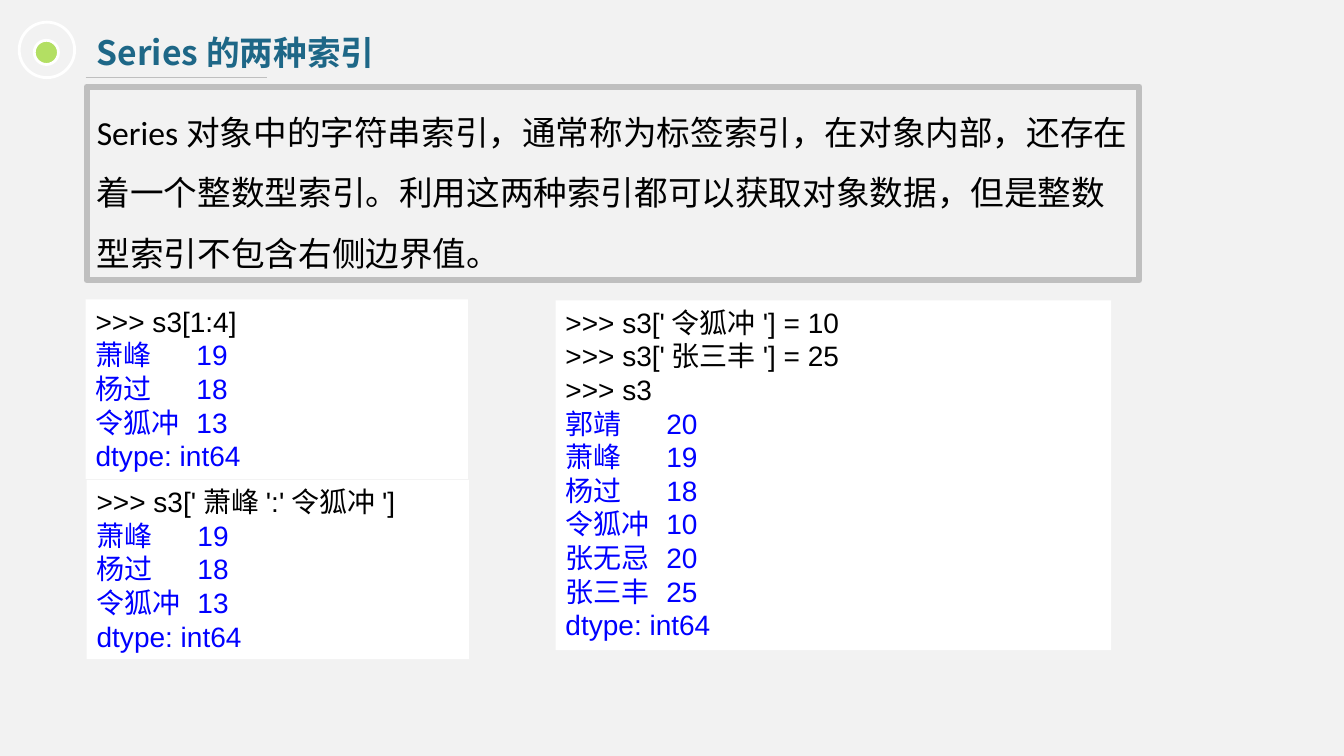
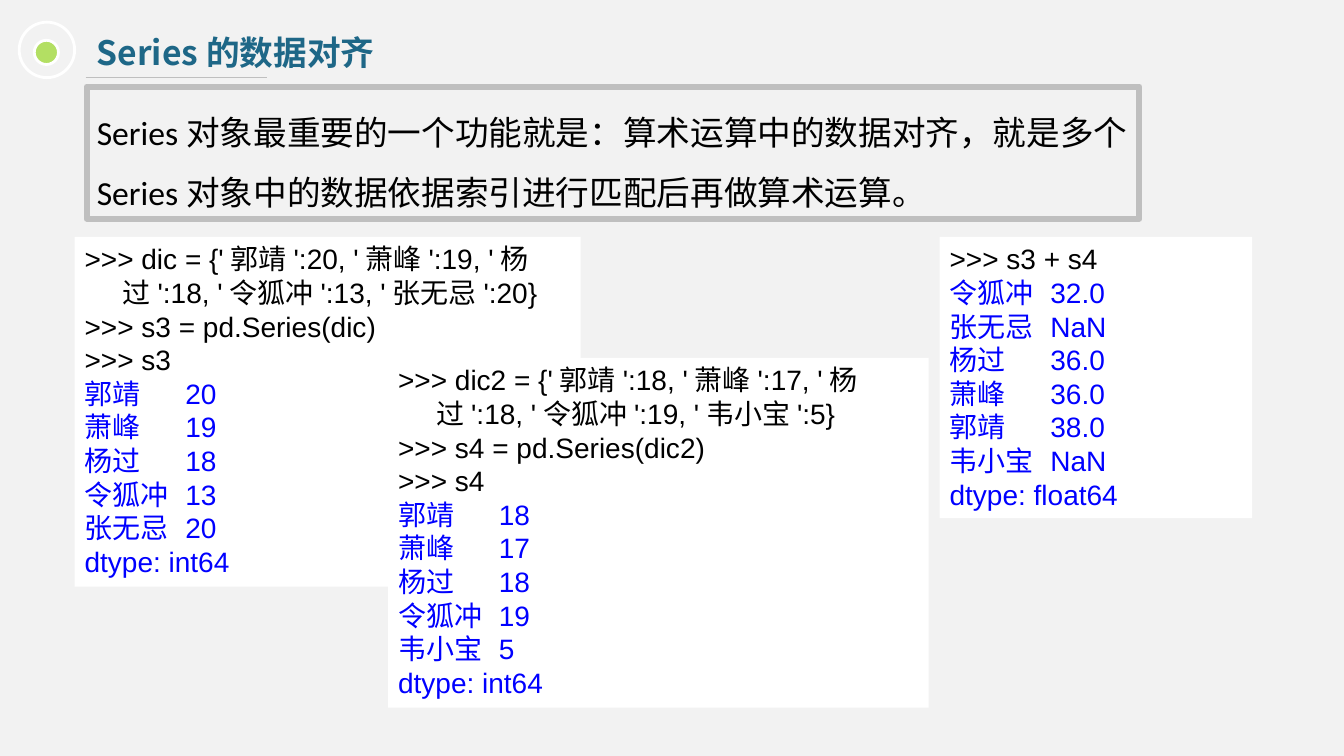
from dataclasses import dataclass

from lxml import etree
from pptx import Presentation
from pptx.dml.color import RGBColor
from pptx.enum.shapes import MSO_CONNECTOR, MSO_SHAPE
from pptx.enum.text import MSO_ANCHOR, MSO_AUTO_SIZE, PP_ALIGN
from pptx.oxml.ns import qn
from pptx.util import Inches, Pt

RECT, OVAL = MSO_SHAPE.RECTANGLE, MSO_SHAPE.OVAL
STRAIGHT = MSO_CONNECTOR.STRAIGHT
TOP, LEFT, NO_FIT = MSO_ANCHOR.TOP, PP_ALIGN.LEFT, MSO_AUTO_SIZE.NONE

COLORS = {
    "background": "F2F2F2",
    "title": "1E6787",
    "accent": "B3DF63",
    "border": "BFBFBF",
    "white": "FFFFFF",
    "code": "000000",
    "output": "0000FF",
}
CJK_FONT = "Noto Sans CJK SC"
HANGING = 0.38
EXTRA_CHAR = 0.15  # shift of the value column after a three-character name


@dataclass
class Panel:
    left: float
    top: float
    width: float
    height: float
    code: list[str]
    rows: list[tuple[str, str]]
    dtype: str = "int64"
    value_at: float = 0.94


@dataclass
class Page:
    title: str
    body: str
    body_height: float
    panels: list[Panel]


SLICE = [("萧峰", "19"), ("杨过", "18"), ("令狐冲", "13")]

PAGES = [
    Page(
        "Series的两种索引",
        "Series对象中的字符串索引，通常称为标签索引，在对象内部，还存在着一个整数型索引。"
        "利用这两种索引都可以获取对象数据，但是整数型索引不包含右侧边界值。",
        1.92,
        [
            Panel(0.85, 2.97, 3.79, 1.78, [">>> s3[1:4]"], SLICE),
            Panel(0.86, 4.76, 3.79, 1.78, [">>> s3['萧峰':'令狐冲']"], SLICE),
            Panel(
                5.51, 2.98, 5.51, 3.47,
                [">>> s3['令狐冲'] = 10", ">>> s3['张三丰'] = 25", ">>> s3"],
                [("郭靖", "20"), ("萧峰", "19"), ("杨过", "18"),
                 ("令狐冲", "10"), ("张无忌", "20"), ("张三丰", "25")],
            ),
        ],
    ),
    Page(
        "Series的数据对齐",
        "Series对象最重要的一个功能就是：算术运算中的数据对齐，就是多个"
        "Series对象中的数据依据索引进行匹配后再做算术运算。",
        1.31,
        [
            Panel(
                0.74, 2.35, 5.02, 3.47,
                [">>> dic = {'郭靖':20, '萧峰':19, '杨过':18, '令狐冲':13, '张无忌':20}",
                 ">>> s3 = pd.Series(dic)", ">>> s3"],
                [("郭靖", "20"), ("萧峰", "19"), ("杨过", "18"),
                 ("令狐冲", "13"), ("张无忌", "20")],
            ),
            Panel(
                3.85, 3.55, 5.36, 3.47,
                [">>> dic2 = {'郭靖':18, '萧峰':17, '杨过':18, '令狐冲':19, '韦小宝':5}",
                 ">>> s4 = pd.Series(dic2)", ">>> s4"],
                [("郭靖", "18"), ("萧峰", "17"), ("杨过", "18"),
                 ("令狐冲", "19"), ("韦小宝", "5")],
            ),
            Panel(
                9.32, 2.35, 3.1, 2.79,
                [">>> s3 + s4"],
                [("令狐冲", "32.0"), ("张无忌", "NaN"), ("杨过", "36.0"),
                 ("萧峰", "36.0"), ("郭靖", "38.0"), ("韦小宝", "NaN")],
                dtype="float64", value_at=1.0,
            ),
        ],
    ),
]


def rgb(name: str) -> RGBColor:
    return RGBColor.from_string(COLORS[name])


def write(p, text: str, *, size: float, font: str, color: str, bold: bool = False,
          spacing: float = 1.0, hanging: float = 0, tab: float = 0) -> None:
    """Fill a paragraph with one formatted run, without a bullet."""
    p.alignment = LEFT
    p.line_spacing = spacing
    p.space_before = p.space_after = Pt(0)
    pPr = p._p.get_or_add_pPr()
    pPr.set("marL", str(Inches(hanging)))
    pPr.set("indent", str(-Inches(hanging)))
    etree.SubElement(pPr, qn("a:buNone"))
    if tab:
        tabs = etree.SubElement(pPr, qn("a:tabLst"))
        etree.SubElement(tabs, qn("a:tab"), pos=str(Inches(tab)), algn="l")
    r = p.add_run()
    r.text = text
    r.font.size, r.font.name, r.font.bold = Pt(size), font, bold
    r.font.color.rgb = rgb(color)
    etree.SubElement(r._r.get_or_add_rPr(), qn("a:ea"), typeface=CJK_FONT)


def place(sp, left: float, top: float, width: float, height: float):
    """Move a shape and return its text frame, set to start at the top."""
    sp.left, sp.top = Inches(left), Inches(top)
    sp.width, sp.height = Inches(width), Inches(height)
    tf = sp.text_frame
    tf.word_wrap, tf.auto_size, tf.vertical_anchor = True, NO_FIT, TOP
    return tf


def add_shape(s, kind, left: float, top: float, width: float, height: float,
              fill: str = "", line: str = "", weight: float = 0):
    sp = s.shapes.add_shape(kind, Inches(left), Inches(top), Inches(width), Inches(height))
    sp.shadow.inherit = False
    if fill:
        sp.fill.solid()
        sp.fill.fore_color.rgb = rgb(fill)
    else:
        sp.fill.background()
    if line:
        sp.line.color.rgb = rgb(line)
        sp.line.width = Pt(weight)
    else:
        sp.line.fill.background()
    return sp


def add_header(s, title: str) -> None:
    tf = place(s.shapes.title, 0.86, 0.27, 3.2, 0.5)
    write(tf.paragraphs[0], title, size=24, font=CJK_FONT, color="title", bold=True)
    add_shape(s, OVAL, 0.34, 0.4, 0.24, 0.24, fill="accent", line="white", weight=2)
    add_shape(s, OVAL, 0.19, 0.22, 0.55, 0.55, line="white", weight=2)
    rule = s.shapes.add_connector(STRAIGHT, Inches(0.85), Inches(0.77),
                                  Inches(2.65), Inches(0.77))
    rule.line.color.rgb = rgb("border")
    rule.line.width = Pt(0.75)
    etree.SubElement(rule._element.spPr, qn("a:effectLst"))


def add_body(s, text: str, height: float) -> None:
    sp = s.placeholders[1]
    tf = place(sp, 0.86, 0.86, 10.44, height)
    sp.line.color.rgb = rgb("border")
    sp.line.width = Pt(4.5)
    write(tf.paragraphs[0], text, size=24, font="Calibri", color="code", spacing=1.5)


def add_panel(s, panel: Panel) -> None:
    box = (panel.left, panel.top, panel.width, panel.height)
    tf = place(add_shape(s, RECT, *box, fill="white"), *box)
    lines = [(text, "code", HANGING, 0) for text in panel.code]
    for name, value in panel.rows:
        tab = panel.value_at + EXTRA_CHAR * (len(name) - 2)
        lines.append((f"{name}\t{value}", "output", 0, tab))
    lines.append((f"dtype: {panel.dtype}", "output", 0, 0))
    for i, (text, color, hanging, tab) in enumerate(lines):
        p = tf.add_paragraph() if i else tf.paragraphs[0]
        write(p, text, size=20, font="Arial", color=color, hanging=hanging, tab=tab)


def main() -> None:
    prs = Presentation()
    prs.slide_width, prs.slide_height = Inches(13.33), Inches(7.5)
    fill = prs.slide_master.background.fill
    fill.solid()
    fill.fore_color.rgb = rgb("background")
    for page in PAGES:
        s = prs.slides.add_slide(prs.slide_layouts[1])
        add_header(s, page.title)
        add_body(s, page.body, page.body_height)
        for panel in page.panels:
            add_panel(s, panel)
    prs.save("out.pptx")


if __name__ == "__main__":
    main()
